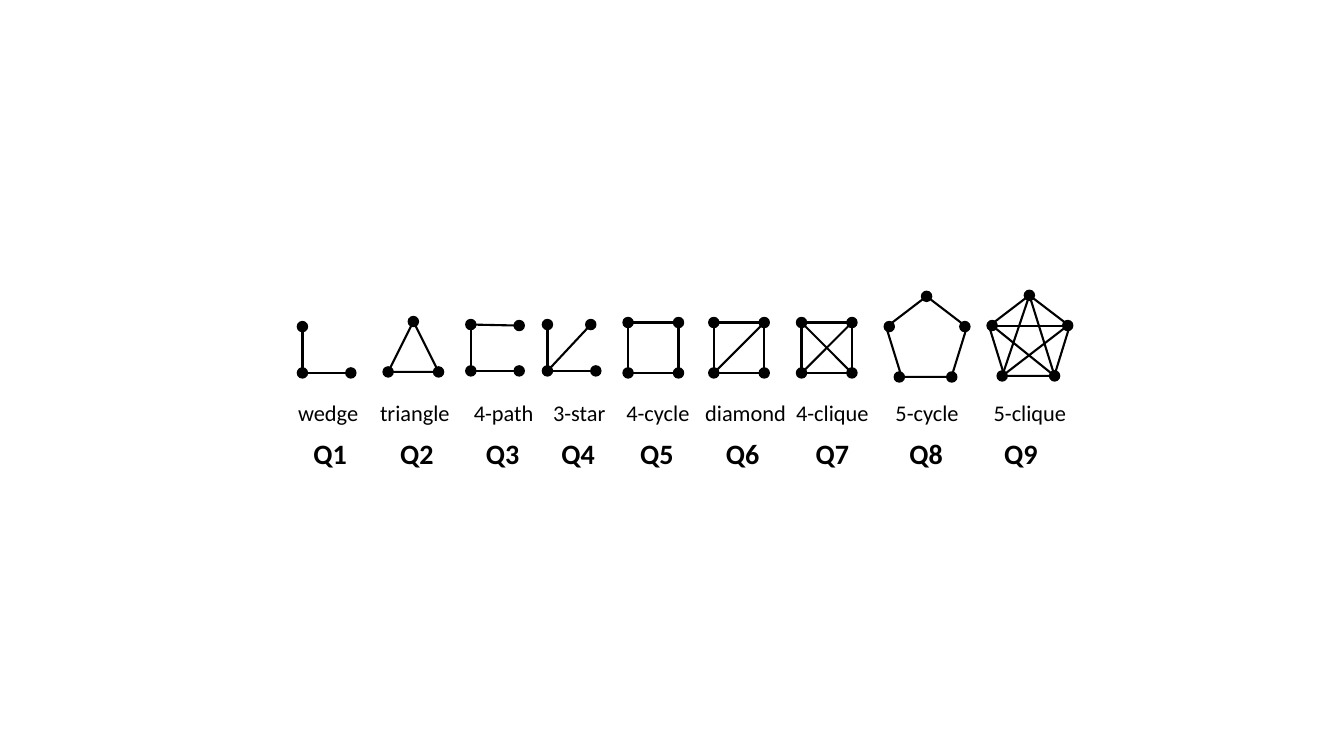
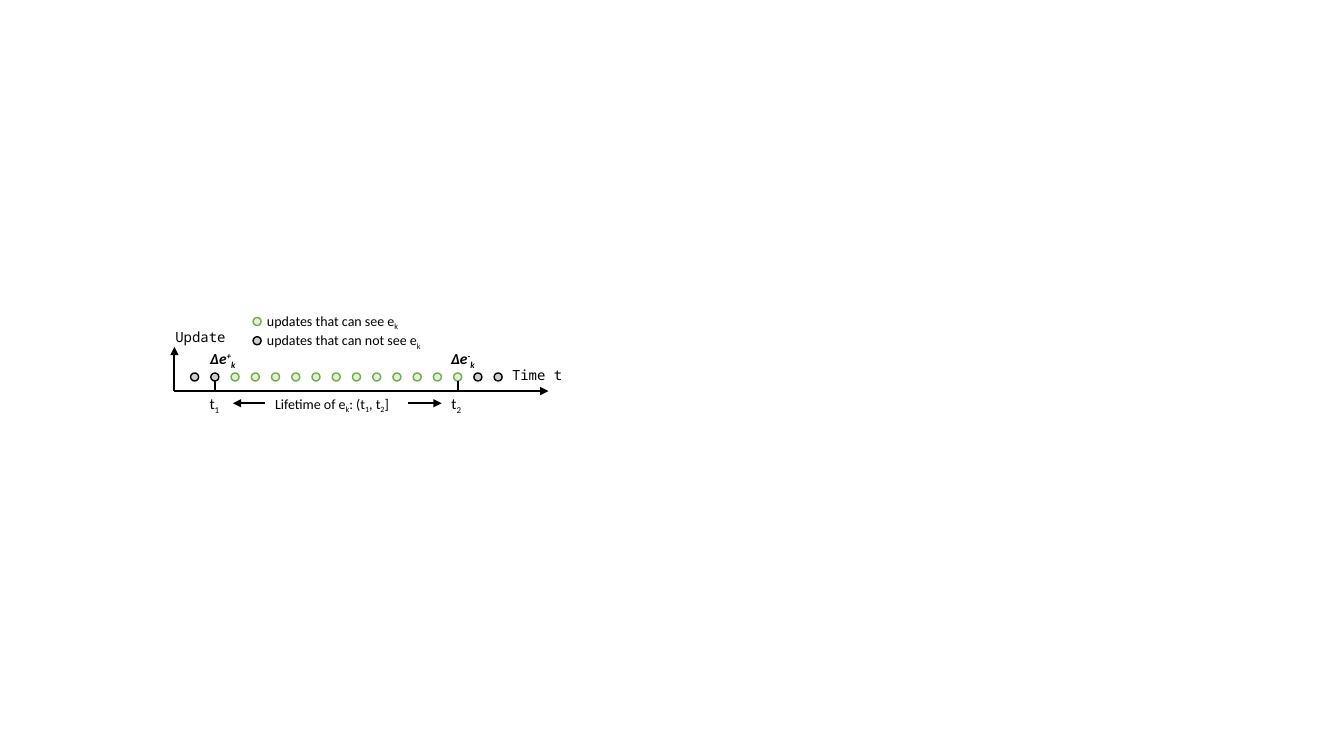
import pptx
import pptx.dml.color
import pptx.enum.shapes
import pptx.enum.text
import pptx.oxml.ns
import pptx.util
from lxml import etree

Inches = pptx.util.Inches
SHAPES = pptx.enum.shapes.MSO_SHAPE
ALIGN = pptx.enum.text.PP_ALIGN
ANCHOR = pptx.enum.text.MSO_ANCHOR
rgb = pptx.dml.color.RGBColor.from_string
qn = pptx.oxml.ns.qn

BLACK, GREY = "000000", "D0CECE"
GREEN, PALE_GREEN = "70AD47", "E2F0D9"
BASELINES = {"_": "-25000", "^": "30000"}


def add_text(slide, text, left, top, width, height, size=10, font="Calibri", bold=False,
             italic=False, align=ALIGN.LEFT, anchor=ANCHOR.TOP, wrap=True, grow=True):
    """Add a text box; | separates runs, a leading _ lowers a run and ^ raises it."""
    box = slide.shapes.add_textbox(Inches(left), Inches(top), Inches(width), Inches(height))
    frame = box.text_frame
    frame.word_wrap = wrap
    frame.vertical_anchor = anchor
    auto_size = pptx.enum.text.MSO_AUTO_SIZE
    frame.auto_size = auto_size.SHAPE_TO_FIT_TEXT if grow else auto_size.NONE
    paragraph = frame.paragraphs[0]
    paragraph.alignment = align
    for part in text.split("|"):
        run = paragraph.add_run()
        run.text = part.lstrip("_^")
        run.font.name = font
        run.font.size = pptx.util.Pt(size)
        run.font.bold = bold
        run.font.italic = italic
        run.font.color.rgb = rgb(BLACK)
        if part[0] in BASELINES:
            run.font._element.set("baseline", BASELINES[part[0]])


def draw(slide, preset, x1, y1, x2, y2, fill=None, line=BLACK, weight=1.5, arrow=False):
    """Draw a preset shape between two corners, or a straight line if preset is None."""
    if preset is None:
        straight = pptx.enum.shapes.MSO_CONNECTOR.STRAIGHT
        shape = slide.shapes.add_connector(straight, Inches(x1), Inches(y1), Inches(x2), Inches(y2))
    else:
        shape = slide.shapes.add_shape(preset, Inches(x1), Inches(y1),
                                       Inches(x2 - x1), Inches(y2 - y1))
        if fill:
            shape.fill.solid()
            shape.fill.fore_color.rgb = rgb(fill)
        else:
            shape.fill.background()
    shape.line.color.rgb = rgb(line)
    shape.line.width = pptx.util.Pt(weight)
    if arrow:
        etree.SubElement(shape.line._get_or_add_ln(), qn("a:tailEnd"), type="triangle")
    if preset is None:
        etree.SubElement(shape._element.spPr, qn("a:effectLst"))
    else:
        shape.shadow.inherit = False


presentation = pptx.Presentation()
presentation.slide_width = Inches(13.33)
presentation.slide_height = Inches(7.5)
blank = presentation.slide_layouts[6]

# Slide 1: query patterns
slide = presentation.slides.add_slide(blank)
radius = 0.05
corner = [(0, 0.04), (0, 0.5), (0.48, 0.5)]
square = [(0, 0), (0, 0.5), (0.5, 0.5), (0.5, 0)]
triangle = [(0.25, 0), (0, 0.5), (0.5, 0.5)]
pentagon = [(0.4, 0), (0.03, 0.3), (0.78, 0.3), (0.13, 0.8), (0.65, 0.8)]
star = [(0, 3), (1, 2), (1, 4), (2, 3), (0, 4)]

# name, name left, number left, origin, outline, outline size, nodes, edges between nodes
patterns = [
    ("wedge", 2.74, 3.01, (3, 3.2), None, 0, corner, [(0, 1), (1, 2)]),
    ("triangle", 3.6, 3.87, (3.85, 3.19), SHAPES.ISOSCELES_TRIANGLE, 0.5, triangle, []),
    ("4-path", 4.48, 4.72, (4.67, 3.18), None, 0, corner + [(0.48, 0.05)],
     [(0, 1), (1, 2), (0, 3)]),
    ("3-star", 5.23, 5.47, (5.43, 3.18), None, 0, corner + [(0.43, 0.04)],
     [(0, 1), (1, 2), (1, 3)]),
    ("4-cycle", 6.01, 6.25, (6.23, 3.2), SHAPES.RECTANGLE, 0.5, square, []),
    ("diamond", 6.88, 7.1, (7.08, 3.2), SHAPES.RECTANGLE, 0.5, square, [(1, 3)]),
    ("4-clique", 7.74, 7.99, (7.95, 3.2), SHAPES.RECTANGLE, 0.5, square, [(1, 3), (0, 2)]),
    ("5-cycle", 8.68, 8.92, (8.79, 2.94), SHAPES.REGULAR_PENTAGON, 0.8, pentagon, []),
    ("5-clique", 9.7, 9.86, (9.81, 2.93), SHAPES.REGULAR_PENTAGON, 0.8, pentagon, star),
]
for number, pattern in enumerate(patterns, 1):
    name, name_left, number_left, (left, top), outline, size, nodes, edges = pattern
    if outline is not None:
        draw(slide, outline, left, top, left + size, top + size)
    centres = [(left + x, top + y) for x, y in nodes]
    for start, end in edges:
        draw(slide, None, *centres[start], *centres[end])
    for x, y in centres:
        draw(slide, SHAPES.OVAL, x - radius, y - radius, x + radius, y + radius,
             fill=BLACK, weight=1)
    add_text(slide, name, name_left, 3.91, 1.03, 0.37, size=16, align=ALIGN.CENTER)
    add_text(slide, f"Q{number}", number_left, 4.28, 0.71, 0.44, size=20, bold=True)

# Slide 2: lifetime of an edge on the update timeline
slide = presentation.slides.add_slide(blank)
dot_size = 0.08
visible = {"fill": PALE_GREEN, "line": GREEN}
hidden = {"fill": GREY, "line": BLACK}

for label, left in [("Δe|^+|_k", 1.89), ("Δe|^-|_k", 4.27)]:
    add_text(slide, label, left, 3.45, 0.64, 0.23, size=11, bold=True, italic=True,
             align=ALIGN.CENTER, anchor=ANCHOR.MIDDLE, grow=False)

axis_left, axis_top = 1.73, 3.88
draw(slide, None, axis_left, axis_top, axis_left, 3.44, arrow=True)
draw(slide, None, axis_left, axis_top, 5.44, axis_top, arrow=True)

dots = [(1.89 + 0.2007 * index, 3.7, visible if 2 <= index <= 13 else hidden)
        for index in range(16)]
legend_dots = [(2.51, 3.15, visible), (2.51, 3.34, hidden)]
for left, top, colours in dots + legend_dots:
    draw(slide, SHAPES.OVAL, left, top, left + dot_size, top + dot_size, weight=1, **colours)

for label, tick, left in [("t|_1", 2.13, 1.98), ("t|_2", 4.54, 4.38)]:
    draw(slide, None, tick, 3.78, tick, axis_top)
    add_text(slide, label, left, 3.86, 0.33, 0.29, size=11)

for label, left, top in [("Update", 1.64, 3.21), ("Time t", 4.98, 3.59)]:
    add_text(slide, label, left, top, 0.91, 0.27, font="Noto Sans Mono")
for label, top in [("updates that can see e|_k", 3.05), ("updates that can not see e|_k", 3.24)]:
    add_text(slide, label, 2.55, top, 2.3, 0.27)

add_text(slide, "Lifetime of e|_k|: (t|_1|, t|_2|]", 2.63, 3.87, 1.42, 0.27, wrap=False)
for start, end in [(4.05, 4.38), (2.63, 2.31)]:
    draw(slide, None, start, 4, end, 4, arrow=True)

presentation.save("out.pptx")
